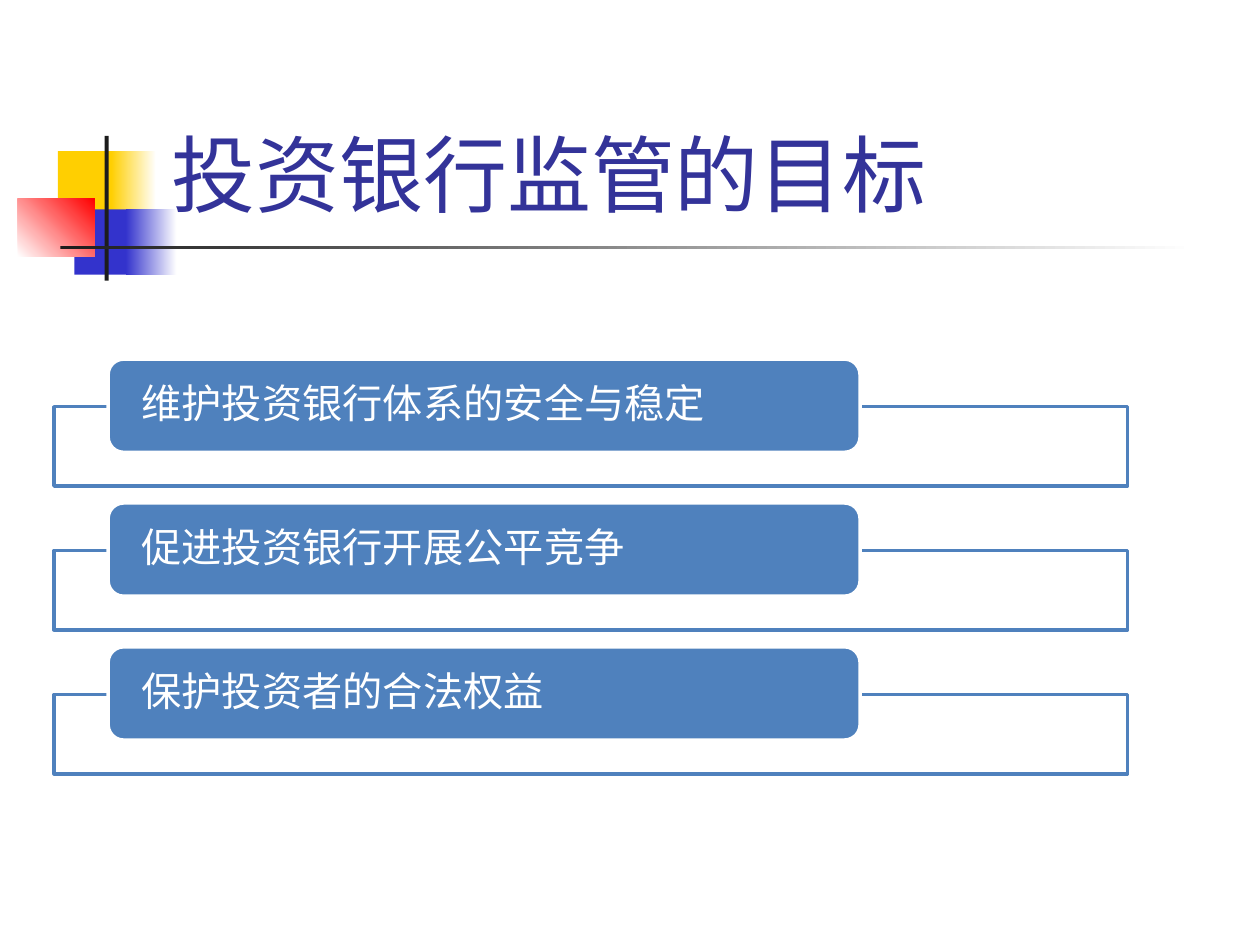
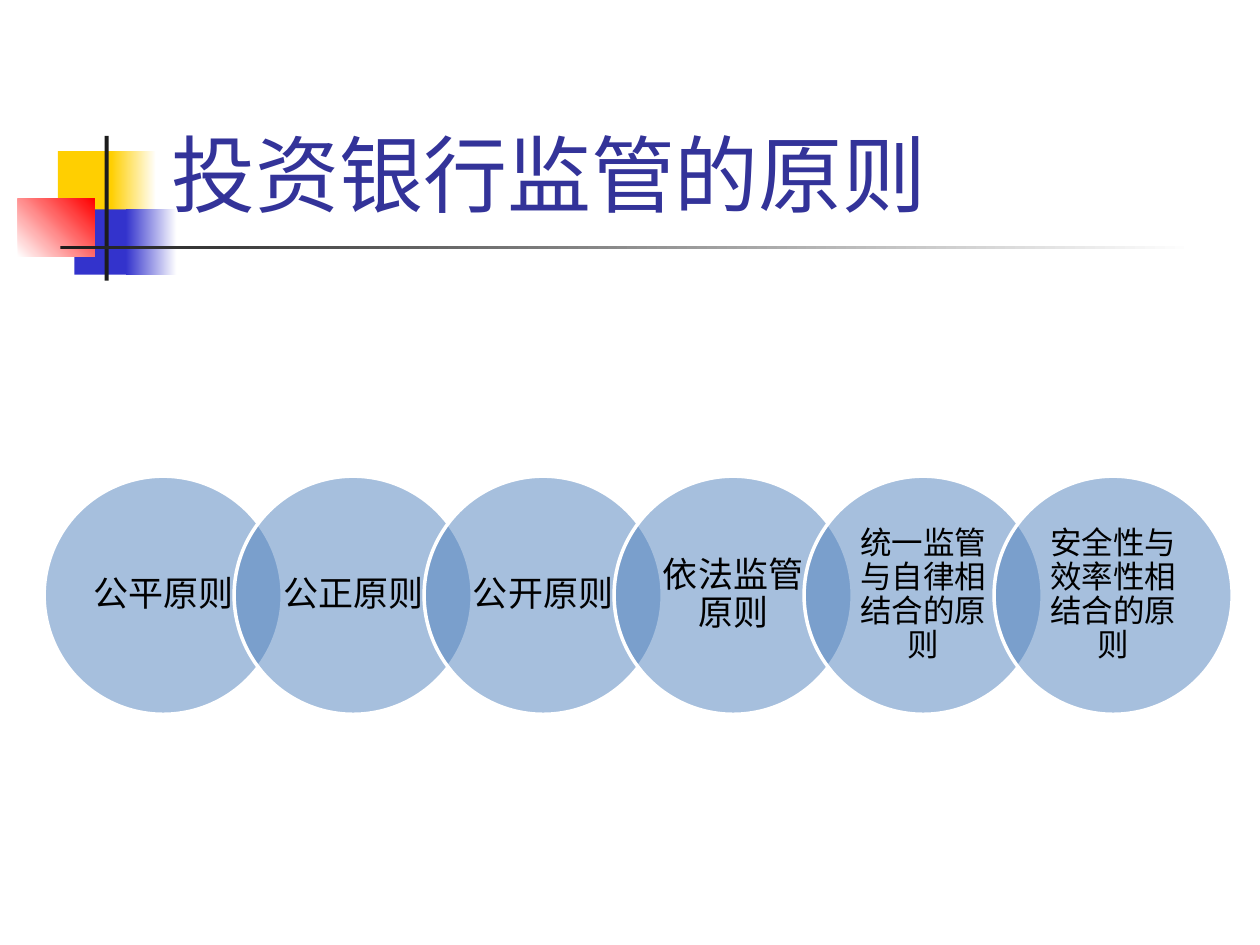
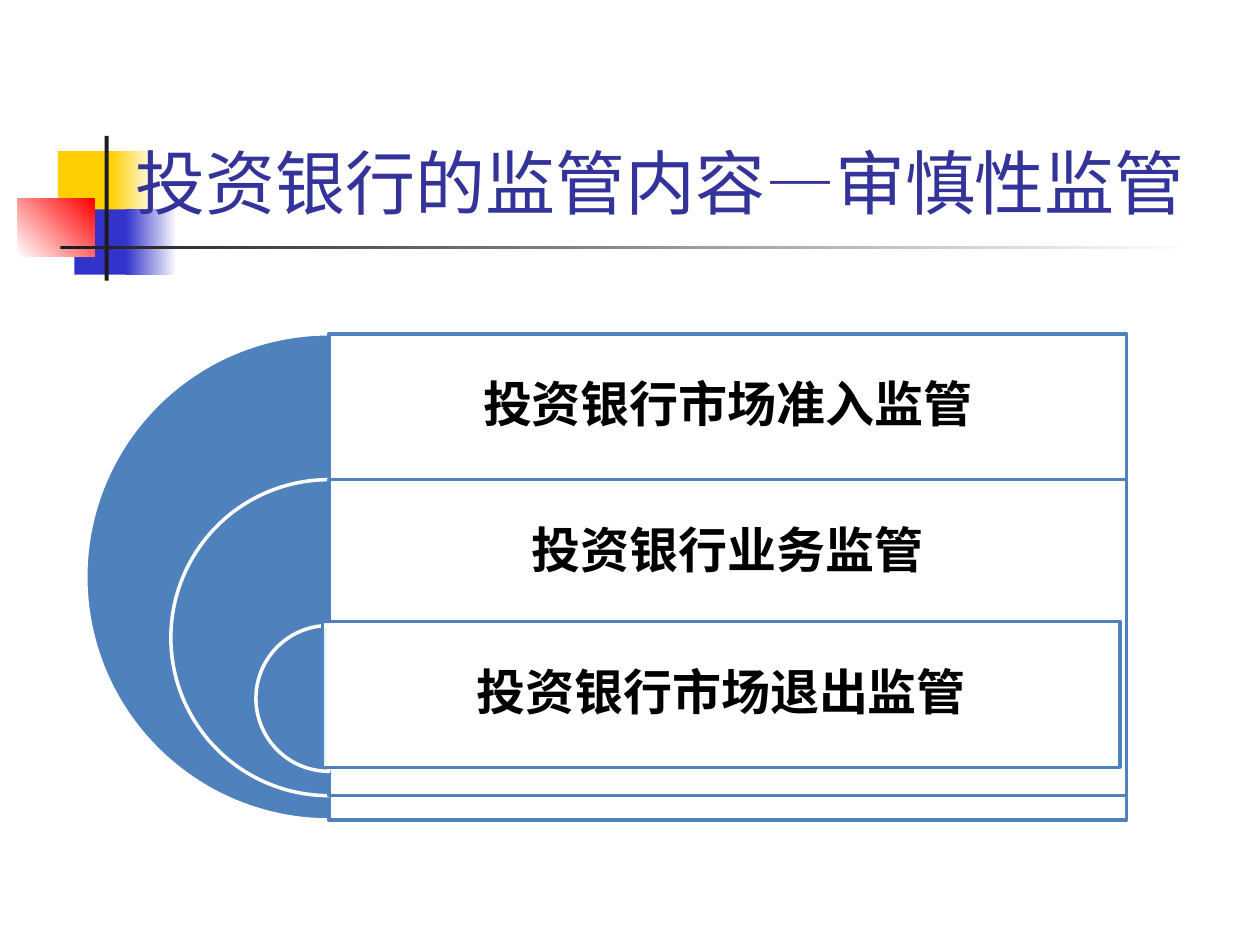
import pptx
import pptx.dml.color
import pptx.enum.shapes
import pptx.enum.text
import pptx.util
from lxml import etree
from pptx.oxml.ns import qn

Cm = pptx.util.Cm
Pt = pptx.util.Pt
SHAPE = pptx.enum.shapes.MSO_SHAPE
ALIGN = pptx.enum.text.PP_ALIGN
ANCHOR = pptx.enum.text.MSO_ANCHOR

COLORS = {
    "white": "FFFFFF",
    "black": "000000",
    "ink": "1C1C1C",
    "title": "333399",
    "yellow": "FFCF01",
    "indigo": "3333CC",
    "red": "FF0000",
    "steel": "4F81BD",
}


def rgb(name):
    return pptx.dml.color.RGBColor.from_string(COLORS[name])


class Deck:
    FONT = "Times New Roman"

    def __init__(self):
        self.prs = pptx.Presentation()
        self.prs.slide_width = Cm(25.4)
        self.prs.slide_height = Cm(19.05)
        self.slide = None

    def new_slide(self, title, size=48, left=3.2):
        self.slide = self.prs.slides.add_slide(self.prs.slide_layouts[6])
        self.ornament()
        tb = self.text_box((left, 0.58, 24.84 - left, 4.06))
        self.set_text(tb, title, size, "title", anchor=ANCHOR.BOTTOM,
                      insets=(0.25, 0.13), spacing=1.0)

    def ornament(self):
        """Draw the coloured squares and the crossed bars beside the title."""
        self.shape(SHAPE.RECTANGLE, (1.17, 3.05, 1.22, 1.32), "yellow")
        self.fade((2.24, 3.05, 0.91, 1.32), "yellow", "white")
        self.shape(SHAPE.RECTANGLE, (1.5, 4.22, 1.17, 1.32), "indigo")
        self.fade((2.54, 4.22, 1.02, 1.32), "indigo", "white")
        self.fade((0.36, 4.01, 1.55, 1.17), "white", "red", angle=45)
        self.shape(SHAPE.RECTANGLE, (2.11, 2.74, 0.08, 2.92), "ink")
        self.fade((1.22, 4.95, 22.86, 0.08), "ink", "white")

    def shape(self, kind, box, fill, line=None, alpha=None):
        """Add a preset shape; alpha is the opacity of its fill in percent."""
        sp = self.slide.shapes.add_shape(kind, *map(Cm, box))
        sp.shadow.inherit = False
        sp.fill.solid()
        sp.fill.fore_color.rgb = rgb(fill)
        if alpha is not None:
            clr = sp._element.spPr.find(qn("a:solidFill")).find(qn("a:srgbClr"))
            etree.SubElement(clr, qn("a:alpha")).set("val", str(alpha * 1000))
        if line:
            sp.line.color.rgb = rgb(line)
            sp.line.width = Pt(2)
        else:
            sp.line.fill.background()
        return sp

    def fade(self, box, start, end, angle=0):
        sp = self.shape(SHAPE.RECTANGLE, box, start)
        sp.fill.gradient()
        sp.fill.gradient_angle = angle
        for stop, name, position in zip(sp.fill.gradient_stops, (start, end), (0, 1)):
            stop.color.rgb = rgb(name)
            stop.position = position

    def frame(self, box):
        return self.shape(SHAPE.RECTANGLE, box, "white", "steel", alpha=90)

    def half_disc(self, center_x, top, size):
        sp = self.shape(SHAPE.PIE, (center_x - size / 2, top, size, size),
                        "steel", "white")
        sp.adjustments[0] = 54
        sp.adjustments[1] = 162

    def text_box(self, box):
        return self.slide.shapes.add_textbox(*map(Cm, box))

    def set_text(self, sp, text, size, color, align=ALIGN.LEFT, anchor=ANCHOR.MIDDLE,
                 insets=(0, 0), spacing=0.9, bold=False):
        tf = sp.text_frame
        tf.word_wrap = True
        tf.vertical_anchor = anchor
        tf.margin_left = tf.margin_right = Cm(insets[0])
        tf.margin_top = tf.margin_bottom = Cm(insets[1])
        p = tf.paragraphs[0]
        p.text = text
        p.alignment = align
        p.line_spacing = spacing
        for r in p.runs:
            r.font.name = self.FONT
            r.font.size = Pt(size)
            r.font.bold = bold
            r.font.color.rgb = rgb(color)


def add_goals(deck):
    deck.new_slide("投资银行监管的目标")
    goals = ["维护投资银行体系的安全与稳定", "促进投资银行开展公平竞争", "保护投资者的合法权益"]
    for i, goal in enumerate(goals):
        top = 7.24 + 2.9 * i
        deck.frame((1.09, top + 0.96, 21.64, 1.6))
        sp = deck.shape(SHAPE.ROUNDED_RECTANGLE, (2.18, top, 15.16, 1.88),
                        "steel", "white")
        deck.set_text(sp, goal, 23, "white", insets=(0.58, 0))


def add_principles(deck):
    deck.new_slide("投资银行监管的原则")
    principles = [
        ("公平原则", 20),
        ("公正原则", 20),
        ("公开原则", 20),
        ("依法监管原则", 20),
        ("统一监管与自律相结合的原则", 18),
        ("安全性与效率性相结合的原则", 18),
    ]
    for i, (principle, size) in enumerate(principles):
        sp = deck.shape(SHAPE.OVAL, (0.89 + 3.83 * i, 9.6, 4.8, 4.8),
                        "steel", "white", alpha=50)
        deck.set_text(sp, principle, size, "black", ALIGN.CENTER, insets=(0.25, 0.08))


def add_contents(deck):
    deck.new_slide("投资银行的监管内容—审慎性监管", size=40, left=2.49)
    center_x, width, row = 6.63, 16.08, 2.94
    contents = [
        ("投资银行市场准入监管", 0, 0),
        ("投资银行业务监管", 0, 0),
        ("投资银行市场退出监管", -0.13, -0.08),
    ]
    for i, (content, dx, dy) in enumerate(contents):
        top = 6.73 + row * i
        size = 9.8 - 3.43 * i
        left = center_x + dx
        deck.half_disc(center_x, top, size)
        deck.frame((left, top + dy, width, size))
        tb = deck.text_box((left, top + dy, width, row))
        deck.set_text(tb, content, 28, "black", ALIGN.CENTER, insets=(0.3, 0.3), bold=True)


def main():
    deck = Deck()
    add_goals(deck)
    add_principles(deck)
    add_contents(deck)
    deck.prs.save("out.pptx")


if __name__ == "__main__":
    main()
